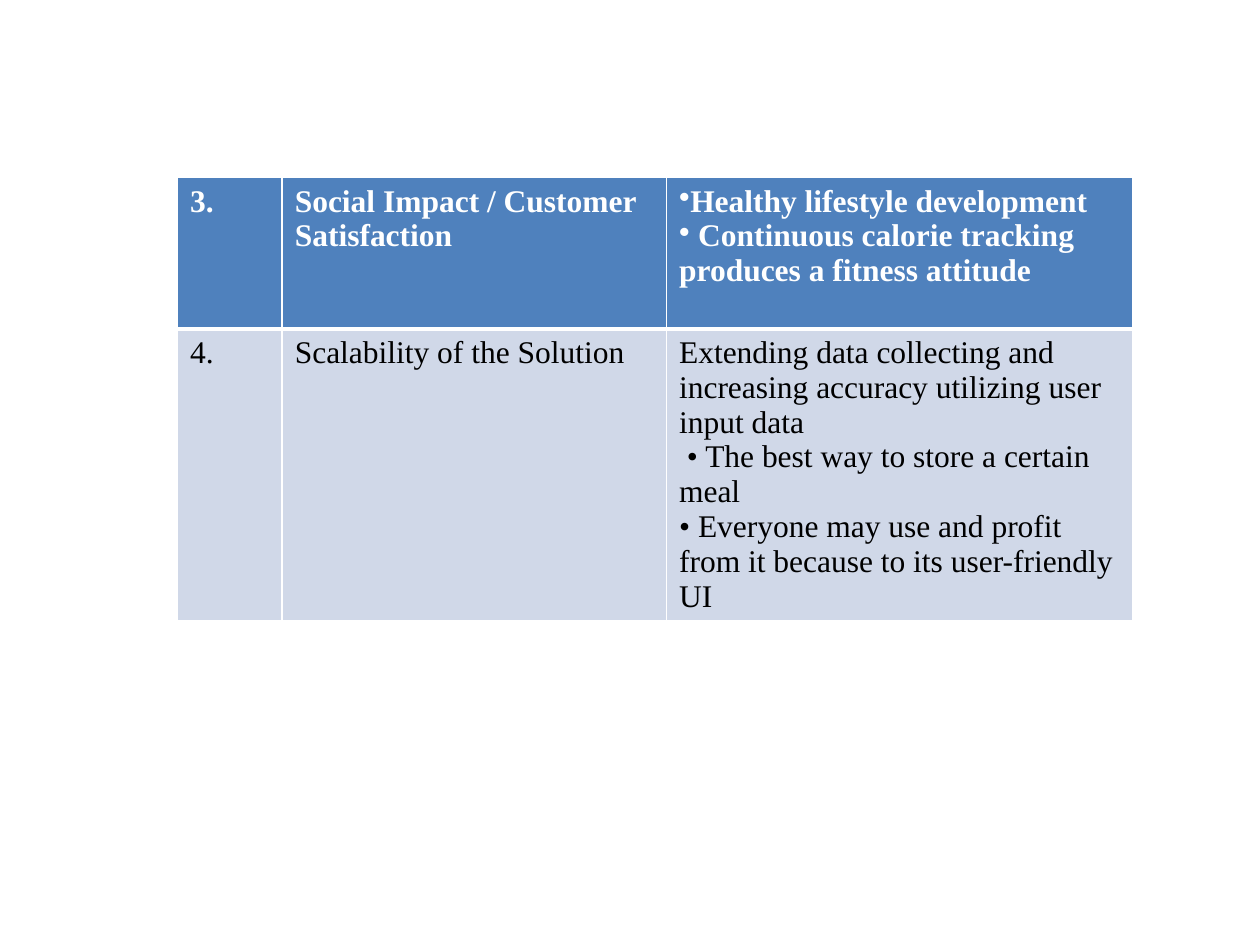
import dataclasses

import pptx
import pptx.dml.color
import pptx.oxml
import pptx.oxml.ns
import pptx.util


@dataclasses.dataclass(frozen=True)
class Theme:
    font: str = "Times New Roman"
    size: int = 18
    header_fill: str = "4F81BD"
    header_text: str = "FFFFFF"
    body_fill: str = "D0D8E8"
    body_text: str = "000000"
    border: str = "FFFFFF"
    thin: int = 1
    thick: int = 3


THEME = Theme()
SLIDE_W, SLIDE_H = 10, 7.5
TABLE_BOX = (1.41, 1.41, 7.58, 3.5)
COL_WIDTHS = (0.83, 3.05, 3.7)
ROW_HEIGHTS = (1.2, 2.3)

# Each cell is a list of paragraphs; header cells with several are bulleted.
ROWS = [
    [
        ["3."],
        ["Social Impact / Customer Satisfaction"],
        ["Healthy lifestyle development",
         " Continuous calorie tracking produces a fitness attitude"],
    ],
    [
        ["4."],
        ["Scalability of the Solution"],
        ["Extending data collecting and increasing accuracy utilizing user input data",
         " • The best way to store a certain meal",
         "• Everyone may use and profit from it because to its user-friendly UI"],
    ],
]


def rgb(color):
    return pptx.dml.color.RGBColor.from_string(color)


def set_borders(cell, top, bottom):
    """Draw all four edges; top and bottom are widths in points."""
    tcPr = cell._tc.get_or_add_tcPr()
    widths = {"L": THEME.thin, "R": THEME.thin, "T": top, "B": bottom}
    for i, (side, width) in enumerate(widths.items()):
        ln = pptx.oxml.parse_xml(
            f'<a:ln{side} {pptx.oxml.ns.nsdecls("a")} w="{pptx.util.Pt(width)}">'
            f'<a:solidFill><a:srgbClr val="{THEME.border}"/></a:solidFill>'
            f'</a:ln{side}>')
        tcPr.insert(i, ln)


def add_bullet(p):
    pPr = p._p.get_or_add_pPr()
    pPr.set("marL", "0")
    pPr.set("indent", "0")
    pPr.append(pptx.oxml.parse_xml(
        f'<a:buChar {pptx.oxml.ns.nsdecls("a")} char="•"/>'))


def fill_cell(cell, paragraphs, header):
    cell.fill.solid()
    cell.fill.fore_color.rgb = rgb(THEME.header_fill if header else THEME.body_fill)
    tf = cell.text_frame
    for i, text in enumerate(paragraphs):
        p = tf.add_paragraph() if i else tf.paragraphs[0]
        if header and len(paragraphs) > 1:
            add_bullet(p)
        r = p.add_run()
        r.text = text
        r.font.name = THEME.font
        r.font.size = pptx.util.Pt(THEME.size)
        r.font.bold = header
        r.font.color.rgb = rgb(THEME.header_text if header else THEME.body_text)


def add_solution_table(s, box):
    """Place the table in box, sharing its size out by column and row."""
    left, top, width, height = box
    table = s.shapes.add_table(
        len(ROWS), len(COL_WIDTHS), *map(pptx.util.Inches, box)).table
    for col, share in zip(table.columns, COL_WIDTHS):
        col.width = pptx.util.Inches(width * share / sum(COL_WIDTHS))
    for row, share in zip(table.rows, ROW_HEIGHTS):
        row.height = pptx.util.Inches(height * share / sum(ROW_HEIGHTS))
    for i, row in enumerate(ROWS):
        header = i == 0
        for j, paragraphs in enumerate(row):
            cell = table.cell(i, j)
            fill_cell(cell, paragraphs, header)
            set_borders(cell,
                        top=THEME.thick if i == 1 else THEME.thin,
                        bottom=THEME.thick if header else THEME.thin)


def main():
    prs = pptx.Presentation()
    prs.slide_width = pptx.util.Inches(SLIDE_W)
    prs.slide_height = pptx.util.Inches(SLIDE_H)
    s = prs.slides.add_slide(prs.slide_layouts[6])
    add_solution_table(s, TABLE_BOX)
    prs.save("out.pptx")


if __name__ == "__main__":
    main()
